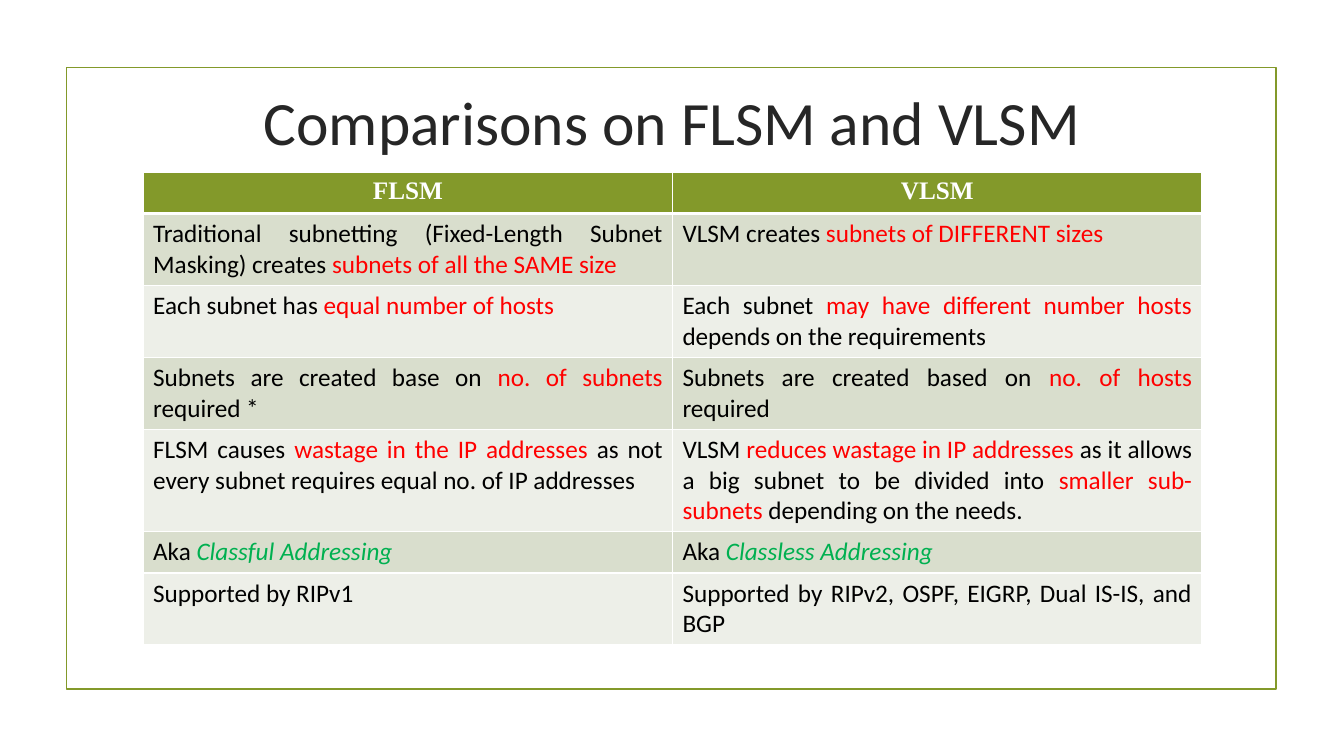
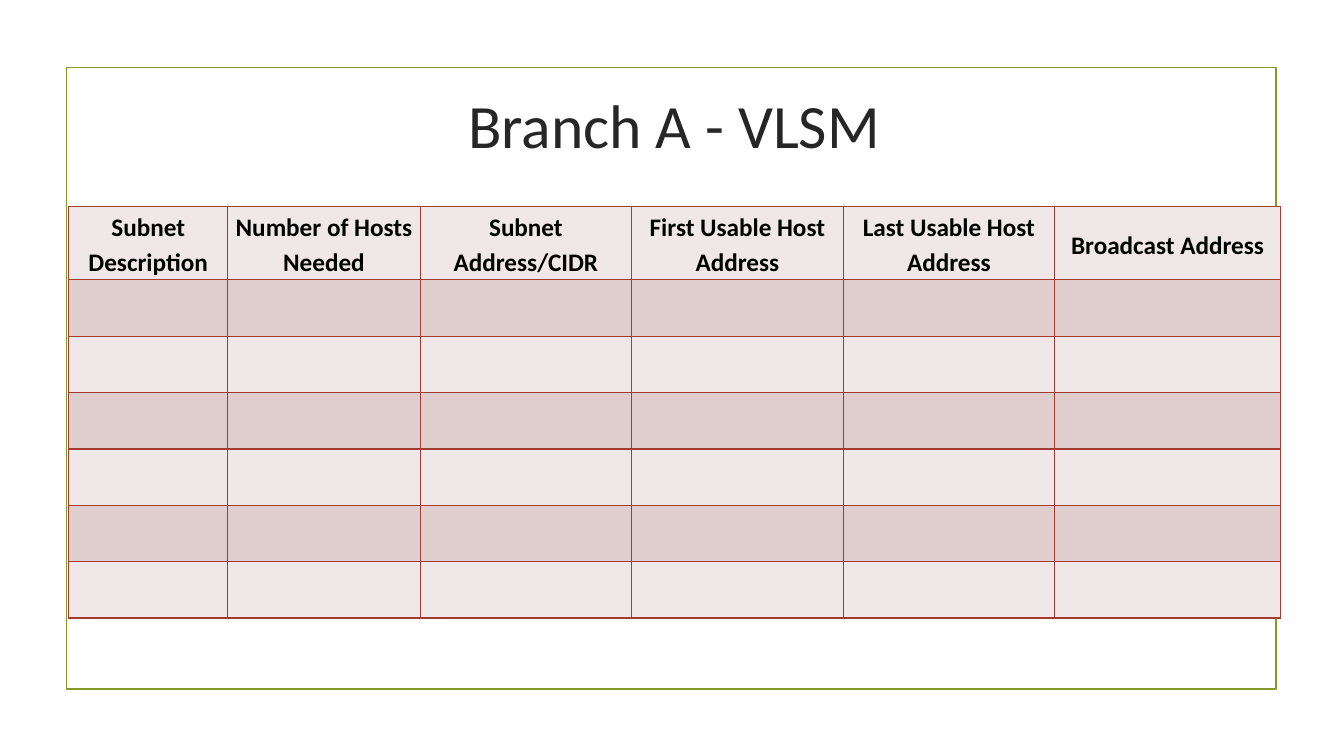
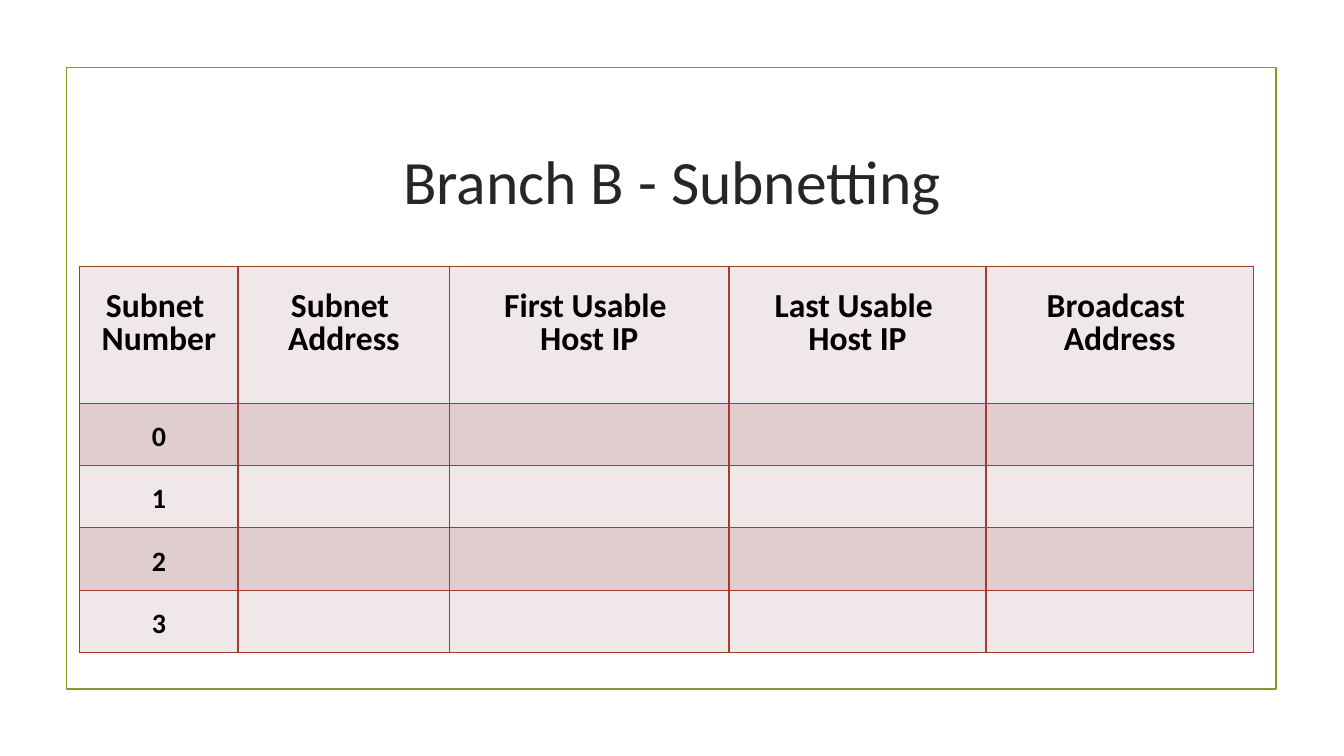
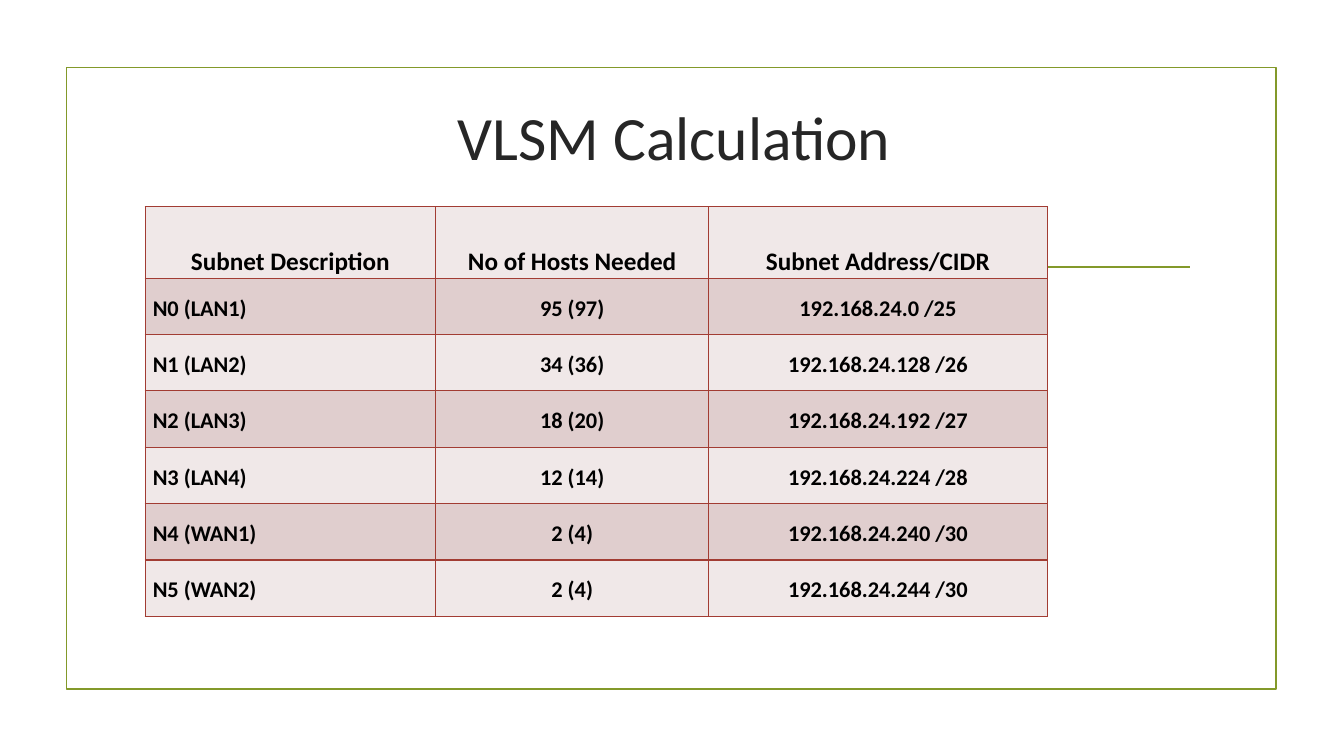
from dataclasses import dataclass
from typing import NamedTuple

import pptx
import pptx.dml.color
import pptx.enum.shapes
import pptx.enum.text
import pptx.oxml
import pptx.oxml.ns
import pptx.presentation
import pptx.slide
import pptx.table
import pptx.text.text
import pptx.util

Cm = pptx.util.Cm
Pt = pptx.util.Pt
Align = pptx.enum.text.PP_ALIGN
Anchor = pptx.enum.text.MSO_ANCHOR

# Shared look
HUES = {
    "olive": "83992A", "sage": "D9DECD", "mist": "EDEFE8",
    "brick": "A23C33", "rose": "E0CECE", "blush": "F0E8E8",
    "title": "262626", "white": "FFFFFF", "black": "000000",
    "red": "FF0000", "green": "00B050",
}
SANS, SERIF = "Calibri", "Times New Roman"


class Span(NamedTuple):
    text: str
    hue: str = ""
    slant: bool = False


@dataclass(frozen=True)
class Type:
    """How the text of a cell is set."""
    size: int
    bold: bool = True
    font: str = SANS
    hue: str = "black"
    align: Align = Align.CENTER
    anchor: Anchor = Anchor.MIDDLE
    pitch: float | pptx.util.Length | None = 1.15
    gap: int = 3


@dataclass(frozen=True)
class Skin:
    """Colours, borders and margins of a table."""
    head: str
    bands: tuple[str, str]
    edge: str
    rule: float
    side: float
    lip: float


@dataclass(frozen=True)
class Grid:
    """One slide: its title spot and its table."""
    title: str
    spot: tuple[float, float]
    left: float
    top: float
    cols: list[float]
    rows: list[float]
    cells: list[list]
    skin: Skin
    head: Type
    body: Type
    first: Type | None = None


GREEN = Skin("olive", ("sage", "mist"), "white", 3, 0.25, 0.13)
PINK = Skin("blush", ("rose", "blush"), "brick", 1, 0.19, 0.03)
LABEL = Type(18, anchor=Anchor.BOTTOM, gap=6)


def tint(hue: str) -> pptx.dml.color.RGBColor:
    return pptx.dml.color.RGBColor.from_string(HUES[hue])


def red(text: str) -> Span:
    return Span(text, "red")


def green(text: str) -> Span:
    return Span(text, "green", True)


# Slide content
GRIDS = [
    Grid(
        "Comparisons on FLSM and VLSM", (3.61, 1.24), 3.61, 4.34,
        [13.34] * 2, [1.04, 1.81, 1.81, 1.81, 2.58, 1.04, 1.81],
        [
            ["FLSM", "VLSM"],
            [["Traditional subnetting (Fixed-Length Subnet Masking) creates",
              red(" subnets of all the SAME size")],
             ["VLSM creates ", red("subnets of DIFFERENT sizes")]],
            [["Each subnet has ", red("equal number of hosts")],
             ["Each subnet ", red("may have different number hosts "),
              "depends on the requirements"]],
            [["Subnets are created base on ", red("no. of subnets "), "required *"],
             ["Subnets are created based on ", red("no. of hosts "), "required"]],
            [["FLSM causes ", red("wastage in the IP addresses "),
              "as not every subnet requires equal no. of IP addresses"],
             ["VLSM ", red("reduces wastage in IP addresses "),
              "as it allows a big subnet to be divided into ",
              red("smaller sub-subnets "), "depending on the needs. "]],
            [["Aka ", green("Classful Addressing")],
             ["Aka ", green("Classless Addressing")]],
            ["Supported by RIPv1",
             "Supported by RIPv2, OSPF, EIGRP, Dual IS-IS, and BGP"],
        ],
        GREEN,
        Type(18, font=SERIF, hue="white", anchor=Anchor.TOP, pitch=None, gap=0),
        Type(18, bold=False, align=Align.JUSTIFY, anchor=Anchor.TOP, pitch=None, gap=0),
    ),
    Grid(
        "Branch A - VLSM", (3.66, 1.3), 1.73, 5.21,
        [4.01, 4.85, 5.33, 5.33, 5.33, 5.69], [1.8] + [1.42] * 6,
        [["Subnet Description", "Number of Hosts Needed", "Subnet Address/CIDR",
          "First Usable Host Address", "Last Usable Host Address",
          "Broadcast Address"]],
        PINK, LABEL, Type(16),
    ),
    Grid(
        "Branch B - Subnetting", (3.61, 2.72), 2.01, 6.71,
        [3.99, 5.33, 7.04, 6.48, 6.73], [3.45] + [1.57] * 4,
        [["Subnet \nNumber", "Subnet \nAddress", "First Usable \nHost IP",
          "Last Usable \nHost IP", "Broadcast \nAddress"],
         ["0"], ["1"], ["2"], ["3"]],
        PINK, Type(24, pitch=Pt(11.7), gap=6), Type(20),
    ),
    Grid(
        "VLSM Calculation", (3.66, 1.6), 3.66, 5.21,
        [7.32, 6.88, 8.53], [1.8] + [1.42] * 6,
        [
            ["Subnet Description", "No of Hosts Needed", "Subnet Address/CIDR"],
            ["N0 (LAN1)", "95 (97)", "192.168.24.0 /25"],
            ["N1 (LAN2)", "34 (36)", "192.168.24.128 /26"],
            ["N2 (LAN3)", "18 (20)", "192.168.24.192 /27"],
            ["N3 (LAN4)", "12 (14)", "192.168.24.224 /28"],
            ["N4 (WAN1)", "2 (4)", "192.168.24.240 /30"],
            ["N5 (WAN2)", "2 (4)", "192.168.24.244 /30"],
        ],
        PINK, LABEL, Type(16), Type(16, align=Align.LEFT),
    ),
]


# Text and cells
def style(run: pptx.text.text._Run, size: int, font: str, hue: str,
          bold: bool = False, slant: bool = False) -> None:
    run.font.size = Pt(size)
    run.font.name = font
    run.font.color.rgb = tint(hue)
    run.font.bold = bold
    run.font.italic = slant


def write(cell: pptx.table._Cell, text: str | list, kind: Type) -> None:
    """Fill a cell with plain text, or with a list of spans."""
    cell.vertical_anchor = kind.anchor
    parts = text if isinstance(text, list) else [text]
    spans = [p if isinstance(p, Span) else Span(p) for p in parts]
    cell.text_frame.text = spans[0].text
    for span in spans[1:]:
        cell.text_frame.paragraphs[-1].add_run().text = span.text
    for para in cell.text_frame.paragraphs:
        para.alignment = kind.align
        para.space_before = para.space_after = Pt(kind.gap)
        if kind.pitch:
            para.line_spacing = kind.pitch
        for run, span in zip(para.runs, spans):
            style(run, kind.size, kind.font, span.hue or kind.hue, kind.bold, span.slant)


def edge(cell: pptx.table._Cell, hue: str, above: float, below: float) -> None:
    """Draw the four borders of a cell."""
    props = cell._tc.get_or_add_tcPr()
    for side, width in (("L", 1), ("R", 1), ("T", above), ("B", below)):
        props.append(pptx.oxml.parse_xml(
            f'<a:ln{side} {pptx.oxml.ns.nsdecls("a")} w="{Pt(width)}">'
            f'<a:solidFill><a:srgbClr val="{HUES[hue]}"/></a:solidFill></a:ln{side}>'))


def pad(cell: pptx.table._Cell, side: float, lip: float) -> None:
    cell.margin_left = cell.margin_right = Cm(side)
    cell.margin_top = cell.margin_bottom = Cm(lip)


# Slide parts
def adorn(slide: pptx.slide.Slide) -> None:
    """Draw the frame and rule, then move them to the layout all slides share."""
    frame = slide.shapes.add_shape(pptx.enum.shapes.MSO_SHAPE.RECTANGLE,
                                   Cm(1.68), Cm(1.7), Cm(30.48), Cm(15.67))
    frame.shadow.inherit = False
    frame.fill.background()
    rule = slide.shapes.add_connector(pptx.enum.shapes.MSO_CONNECTOR.STRAIGHT,
                                      Cm(3.89), Cm(6.73), Cm(30), Cm(6.73))
    rule.element.spPr.append(
        pptx.oxml.parse_xml(f'<a:effectLst {pptx.oxml.ns.nsdecls("a")}/>'))
    for shape in (frame, rule):
        shape.line.color.rgb = tint("olive")
        shape.line.width = Pt(1.25)
        slide.slide_layout.shapes.element.append(shape.element)


def head(slide: pptx.slide.Slide, text: str, spot: tuple[float, float]) -> None:
    title = slide.shapes.title
    title.left, title.top = map(Cm, spot)
    title.width, title.height = Cm(26.67), Cm(3.63)
    frame = title.text_frame
    frame.text = text
    frame.vertical_anchor = Anchor.MIDDLE
    frame.paragraphs[0].alignment = Align.CENTER
    style(frame.paragraphs[0].runs[0], 44, SANS, "title")


def chart(slide: pptx.slide.Slide, grid: Grid) -> pptx.table.Table:
    """Draw the table of a slide; short rows leave empty cells."""
    skin = grid.skin
    table = slide.shapes.add_table(
        len(grid.rows), len(grid.cols), Cm(grid.left), Cm(grid.top),
        Cm(sum(grid.cols)), Cm(sum(grid.rows))).table
    table.horz_banding = False
    for col, width in zip(table.columns, grid.cols):
        col.width = Cm(width)
    for r, height in enumerate(grid.rows):
        table.rows[r].height = Cm(height)
        texts = grid.cells[r] if r < len(grid.cells) else []
        for c in range(len(grid.cols)):
            cell = table.cell(r, c)
            pad(cell, skin.side, skin.lip)
            edge(cell, skin.edge, skin.rule if r == 1 else 1, skin.rule if r == 0 else 1)
            cell.fill.solid()
            cell.fill.fore_color.rgb = tint(skin.bands[(r - 1) % 2] if r else skin.head)
            if c < len(texts):
                body = grid.first if grid.first and c == 0 else grid.body
                write(cell, texts[c], body if r else grid.head)
    return table


def main() -> None:
    deck = pptx.Presentation()
    deck.slide_width, deck.slide_height = Cm(33.87), Cm(19.05)
    layout = deck.slide_layouts[5]
    tables = []
    for grid in GRIDS:
        slide = deck.slides.add_slide(layout)
        if not tables:
            adorn(slide)
        head(slide, grid.title, grid.spot)
        tables.append(chart(slide, grid))

    # The one-line label of Branch A sits in the middle of its cell
    last = tables[1].cell(0, 5)
    last.vertical_anchor = Anchor.MIDDLE
    pad(last, 0, 0)
    deck.save("out.pptx")


if __name__ == "__main__":
    main()
